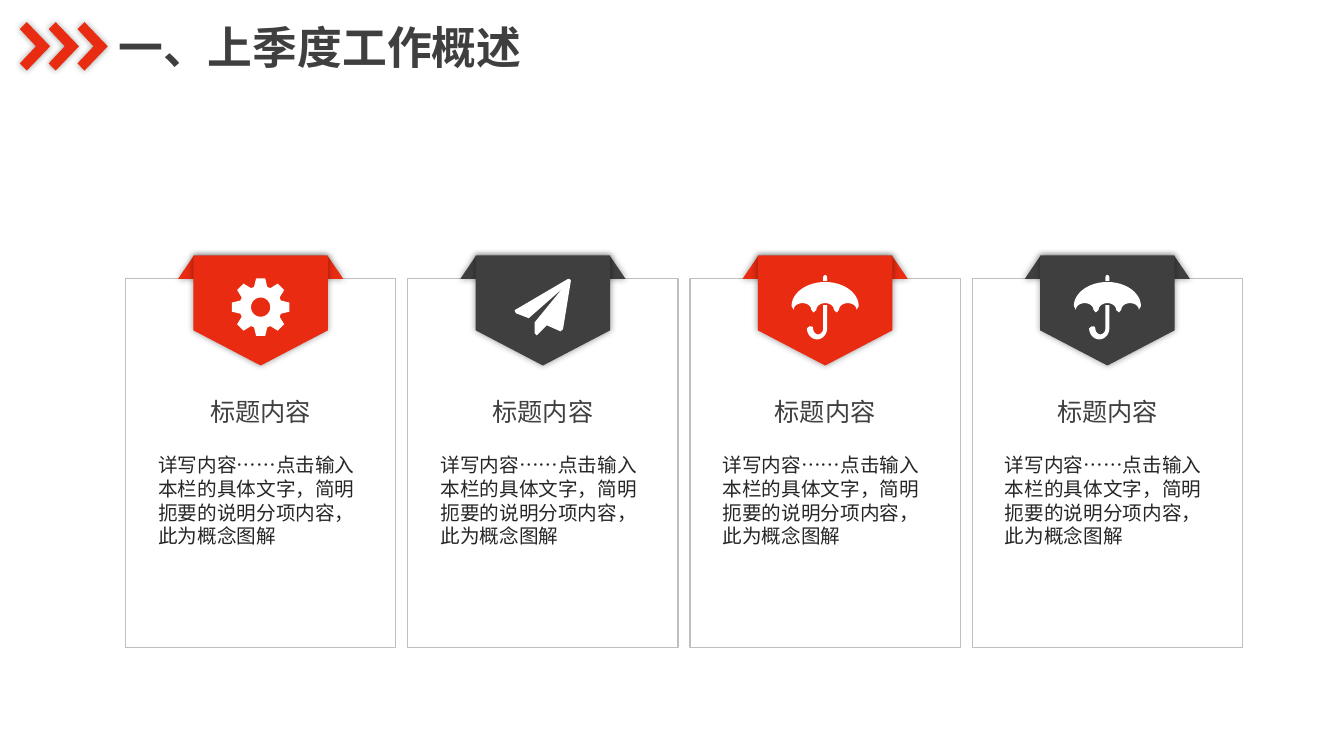
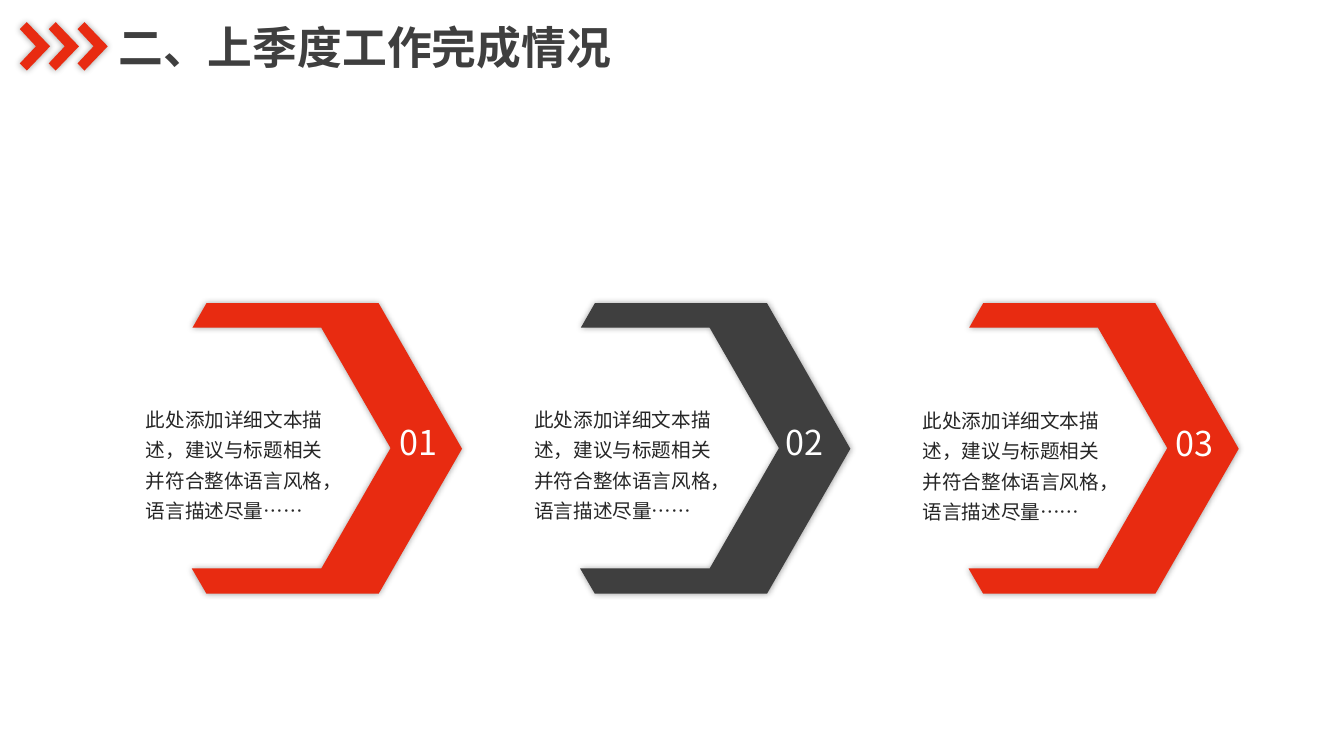
import math

import lxml.etree
import pptx
import pptx.dml.color
import pptx.enum.shapes
import pptx.enum.text
import pptx.oxml.ns
import pptx.util

Pt = pptx.util.Pt
PRESET = pptx.enum.shapes.MSO_SHAPE
ALIGN = pptx.enum.text.PP_ALIGN
qn = pptx.oxml.ns.qn

FONT = "Noto Sans CJK SC"
RED, DARK, WHITE = "E82B11", "3F3F3F", "FFFFFF"
BORDER, HEADING, BODY = "BFBFBF", "404040", "262626"

CARD_TEXT = "详写内容……点击输入本栏的具体文字，简明扼要的说明分项内容，此为概念图解"
STEP_TEXT = "此处添加详细文本描述，建议与标题相关并符合整体语言风格，语言描述尽量……"

TITLE_CHEVRON = [(0, 5), (5, 0), (21.6, 17.3), (5, 34.6), (0, 29.5), (11.5, 17.3)]
STEP_ARROW = [(10.5, 0), (133.5, 0), (193, 104), (133.5, 207.5), (10.5, 207.5),
              (0, 189.5), (92.5, 189.5), (142, 103.5), (92.5, 17.5), (0.5, 17.5)]
PLANE = [[(20, -18.7), (14.4, 15.8), (12.6, 17.3), (2.9, 13), (-4.3, 20.2),
          (-5.8, 18.7), (-5.8, 10.8), (13.7, -13), (-10.1, 7.9), (-19.4, 4.3),
          (-20.2, 2.2), (18, -20.2), (19.4, -20)]]


def color(hex_value):
    """Return the colour for a hex string."""
    return pptx.dml.color.RGBColor.from_string(hex_value)


def arc(center_x, center_y, radius_x, radius_y, start, end, steps=24):
    """Return points along an elliptical arc, with angles in degrees."""
    angles = [math.radians(start + (end - start) * step / steps) for step in range(steps + 1)]
    return [(center_x + radius_x * math.cos(angle), center_y + radius_y * math.sin(angle))
            for angle in angles]


def gear_icon():
    """Return the contours of an eight-toothed gear with a round hole."""
    outline = []
    for tooth in range(8):
        for offset, radius in ((-18, 15.2), (-9, 20.8), (9, 20.8), (18, 15.2)):
            angle = math.radians(tooth * 45 + offset)
            outline.append((radius * math.cos(angle), radius * math.sin(angle)))
    return [outline, arc(0, 0, 6.9, 6.9, 360, 0)]


def umbrella_icon():
    """Return the contours of an umbrella: canopy, handle and tip."""
    canopy = arc(0, -0.7, 24, 17.3, 180, 360) + [(23, 0.9)]
    for center, cusp in ((16.2, (8.2, 3.8)), (0, (-8.2, 3.8)), (-16.2, (-23, 0.9))):
        canopy += arc(center, 2, 6.3, 4.9, 0, -180) + [cusp]
    handle = [(-1.4, -1.4), (1.4, -1.4)] + arc(-5.8, 15.1, 7.2, 7.9, 0, 180)
    handle += [(-11.3, 13.7), (-9, 13.9)] + arc(-5, 15.1, 3.6, 4.3, 180, 0)
    tip = arc(0, -21, 1.4, 2, 180, 360) + [(1.4, -18.7), (-1.4, -18.7)]
    return [canopy, handle, tip]


def paint(shape, fill, shadow=True):
    """Fill a shape without outline, optionally with a soft shadow."""
    shape.fill.solid()
    shape.fill.fore_color.rgb = color(fill)
    shape.line.fill.background()
    shape.shadow.inherit = False
    if shadow:
        effects = shape._element.spPr.find(qn("a:effectLst"))
        outer = lxml.etree.SubElement(effects, qn("a:outerShdw"), blurRad=str(Pt(5)),
                                      dist="0", dir="0", algn="ctr", rotWithShape="0")
        tone = lxml.etree.SubElement(outer, qn("a:srgbClr"), val="000000")
        lxml.etree.SubElement(tone, qn("a:alpha"), val="40000")


def add_preset(slide, preset, left, top, width, height, adjustment=None):
    """Add a preset shape, with its adjustment if given."""
    shape = slide.shapes.add_shape(preset, Pt(left), Pt(top), Pt(width), Pt(height))
    if adjustment is not None:
        shape.adjustments[0] = adjustment
    return shape


def add_outline(slide, contours, left, top, fill, shadow=True):
    """Draw closed contours as one freeform, offset to left and top."""
    placed = [[(Pt(left + x), Pt(top + y)) for x, y in contour] for contour in contours]
    builder = slide.shapes.build_freeform(*placed[0][0], scale=1.0)
    for index, contour in enumerate(placed):
        if index:
            builder.move_to(*contour[0])
        builder.add_line_segments(contour[1:], close=True)
    paint(builder.convert_to_shape(), fill, shadow)


def add_text(slide, text, left, top, width, height, size, fill, leading,
             bold=False, align=ALIGN.LEFT, wrap=True):
    """Add a one-paragraph text box."""
    frame = slide.shapes.add_textbox(Pt(left), Pt(top), Pt(width), Pt(height)).text_frame
    frame.word_wrap = wrap
    paragraph = frame.paragraphs[0]
    paragraph.text = text
    paragraph.alignment = align
    paragraph.line_spacing = Pt(leading)
    font = paragraph.font
    font.name, font.size, font.bold = FONT, Pt(size), bold
    font.color.rgb = color(fill)
    properties = paragraph._p.pPr.find(qn("a:defRPr"))
    lxml.etree.SubElement(properties, qn("a:ea"), typeface=FONT)


def add_titled_slide(presentation, title):
    """Add a blank slide with the title and its three chevrons."""
    slide = presentation.slides.add_slide(presentation.slide_layouts[6])
    add_text(slide, title, 77.4, 10, len(title) * 32 + 17, 46, 32, DARK, 39, bold=True, wrap=False)
    for index in range(3):
        add_outline(slide, [TITLE_CHEVRON], 14.2 + index * 20.6, 15.8, RED)
    return slide


def add_card(slide, left, fill, icon):
    """Add a bordered card with a ribbon, an icon, a heading and a text."""
    center = left + 96.5
    frame = add_preset(slide, PRESET.RECTANGLE, left, 199.1, 193, 263.5)
    frame.fill.background()
    frame.line.color.rgb = color(BORDER)
    frame.line.width = Pt(1)
    frame.shadow.inherit = False
    paint(add_preset(slide, PRESET.TRAPEZOID, center - 59, 182.6, 118, 16.6, 0.68), fill)
    ribbon = add_preset(slide, PRESET.PENTAGON, center - 39.2, 173.9, 78.4, 96, 0.32)
    ribbon.rotation = 90
    paint(ribbon, fill)
    add_outline(slide, icon, center, 219.4, WHITE, shadow=False)
    add_text(slide, "标题内容", center - 52, 280, 104, 29, 18, HEADING, 21.2, align=ALIGN.CENTER)
    add_text(slide, CARD_TEXT, center - 80.2, 319.8, 160, 75, 14, BODY, 17)


def add_step(slide, left, fill, label, label_left, drop):
    """Add a step arrow with its number and text."""
    add_outline(slide, [STEP_ARROW], left, 216.6, fill)
    add_text(slide, label, label_left, 296.6 + drop, 43.2, 36.7, 24.4, WHITE, 30,
             align=ALIGN.CENTER, wrap=False)
    add_text(slide, STEP_TEXT, left - 39.9, 282.5 + drop, 150, 96, 14, BODY, 21.8)


def main():
    """Build both slides and save them."""
    presentation = pptx.Presentation()
    presentation.slide_width, presentation.slide_height = Pt(960), Pt(540)

    overview = add_titled_slide(presentation, "一、上季度工作概述")
    icons = [gear_icon(), PLANE, umbrella_icon(), umbrella_icon()]
    for index, icon in enumerate(icons):
        add_card(overview, 89.7 + index * 201.6, (RED, DARK)[index % 2], icon)

    progress = add_titled_slide(presentation, "二、上季度工作完成情况")
    labels = [("01", 277.2, 0), ("02", 553, 0), ("03", 831.6, 1)]
    for index, (label, label_left, drop) in enumerate(labels):
        add_step(progress, 137 + index * 277.4, (RED, DARK)[index % 2], label, label_left, drop)

    presentation.save("out.pptx")


if __name__ == "__main__":
    main()
